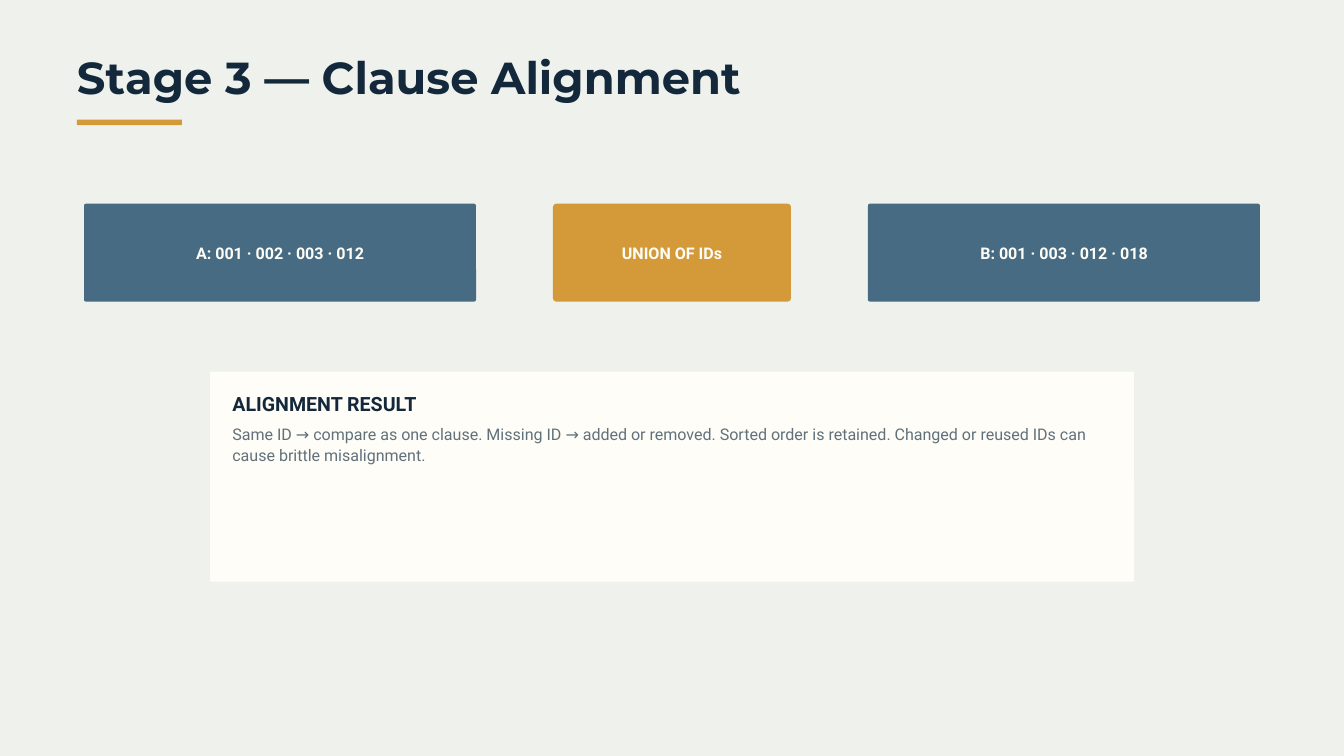
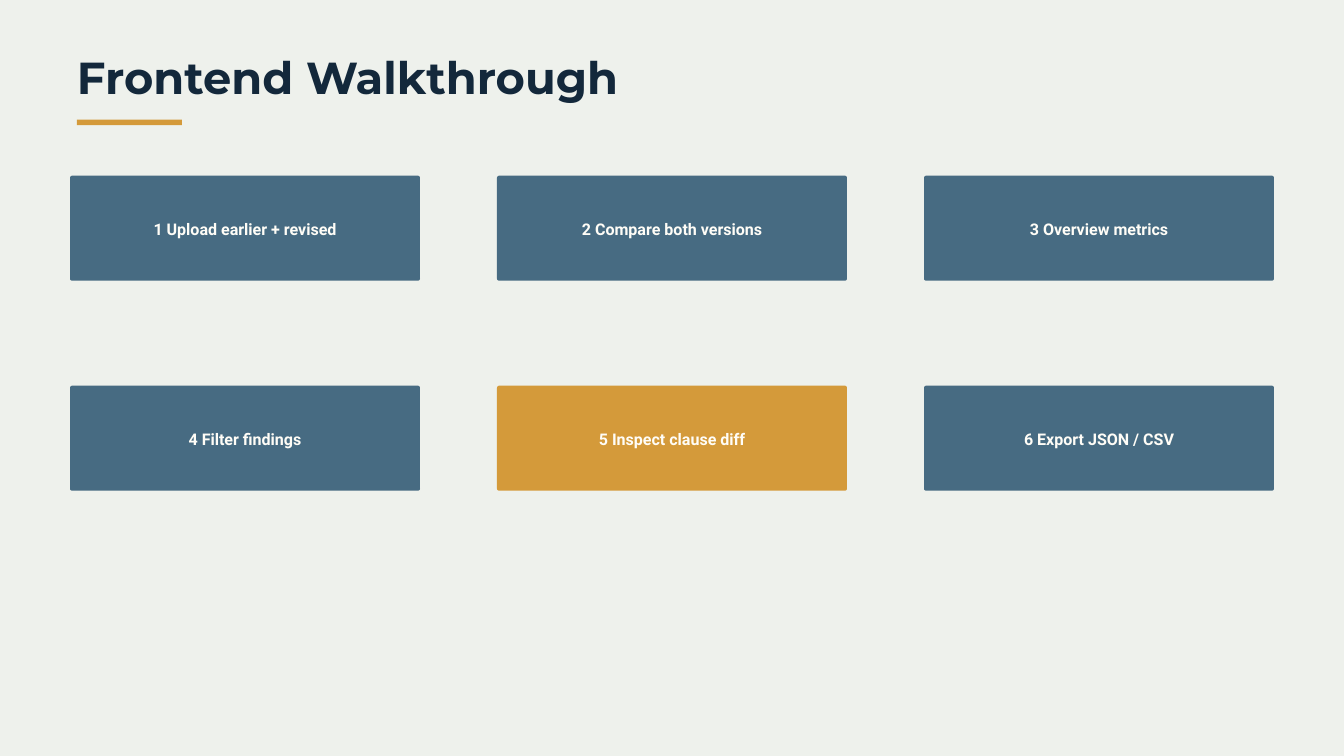
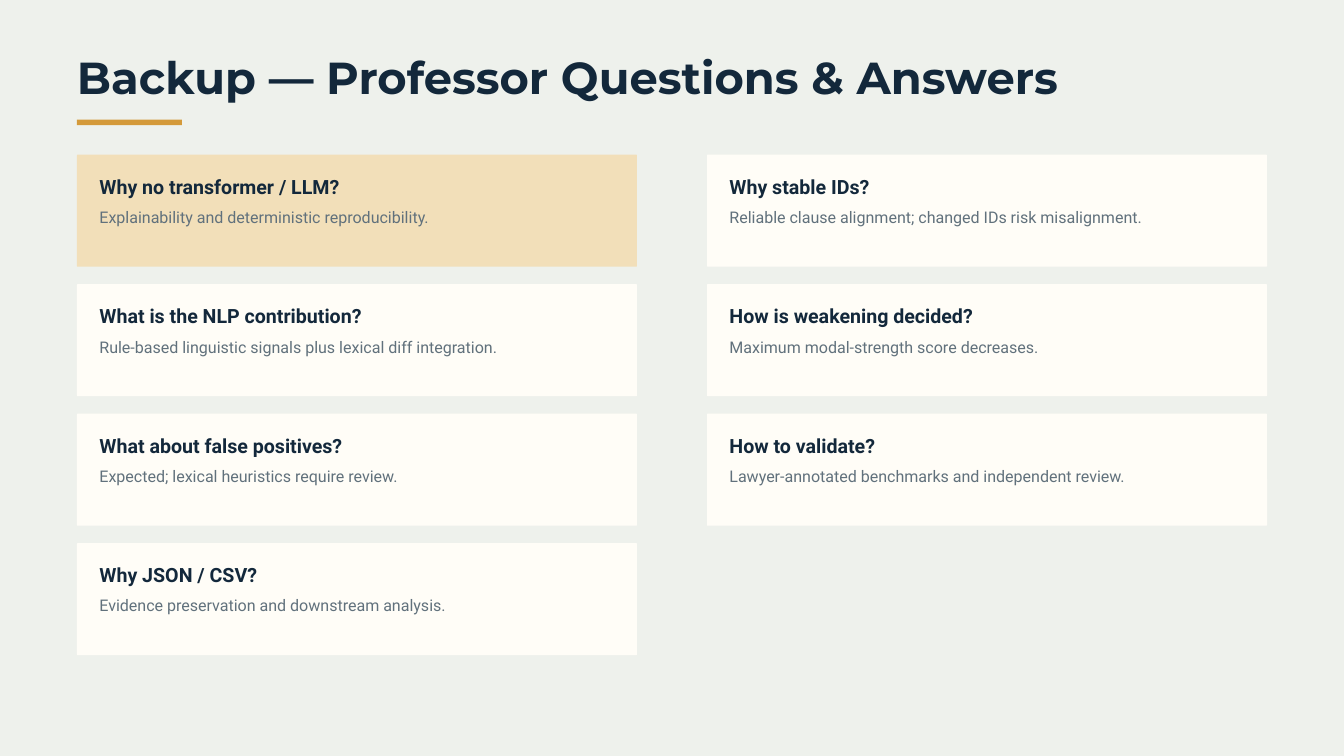
import pptx
import pptx.dml.color
import pptx.enum.shapes
import pptx.enum.text
import pptx.util

RGB = pptx.dml.color.RGBColor
SHAPE = pptx.enum.shapes.MSO_SHAPE
ALIGN = pptx.enum.text.PP_ALIGN
ANCHOR = pptx.enum.text.MSO_ANCHOR

# Shared palette and fonts
PAPER = RGB(0xEE, 0xF1, 0xEC)
NAVY = RGB(0x13, 0x28, 0x3B)
STEEL = RGB(0x47, 0x6B, 0x82)
AMBER = RGB(0xD4, 0x9A, 0x3A)
SAND = RGB(0xF2, 0xDF, 0xB9)
IVORY = RGB(0xFF, 0xFD, 0xF7)
SLATE = RGB(0x61, 0x71, 0x7C)
TITLE_FONT, BODY_FONT = "Montserrat", "Roboto"

CARD_PAD = 32
BODY_LINE = 29


def px(length):
    """Convert px on a 1920 x 1080 slide to EMU."""
    return pptx.util.Emu(round(length * 9525))


def write(frame, text, size, color, leading, font=BODY_FONT, bold=False,
          align=ALIGN.LEFT, anchor=ANCHOR.TOP, top=0, bottom=0, side=0):
    frame.word_wrap = True
    frame.vertical_anchor = anchor
    frame.margin_left = frame.margin_right = px(side)
    frame.margin_top, frame.margin_bottom = px(top), px(bottom)
    paragraph = frame.paragraphs[0]
    paragraph.alignment = align
    paragraph.line_spacing = pptx.util.Pt(leading)
    run = paragraph.add_run()
    run.text = text
    run.font.name = font
    run.font.size = pptx.util.Pt(size)
    run.font.bold = bold
    run.font.color.rgb = color


def add_label(shapes, x, y, width, height, text, **style):
    label = shapes.add_textbox(px(x), px(y), px(width), px(height))
    write(label.text_frame, text, **style)


def add_panel(shapes, x, y, width, height, fill, radius=0):
    preset = SHAPE.ROUNDED_RECTANGLE if radius else SHAPE.RECTANGLE
    panel = shapes.add_shape(preset, px(x), px(y), px(width), px(height))
    if radius:
        panel.adjustments[0] = radius / min(width, height)
    panel.fill.solid()
    panel.fill.fore_color.rgb = fill
    panel.line.fill.background()
    panel.shadow.inherit = False
    return panel


def add_step(slide, x, y, width, height, text, fill=STEEL, radius=3):
    step = add_panel(slide.shapes, x, y, width, height, fill, radius)
    write(step.text_frame, text, size=17.2, color=IVORY, leading=24.1, bold=True,
          align=ALIGN.CENTER, anchor=ANCHOR.MIDDLE, top=3, bottom=6, side=6)


def add_card(slide, x, y, width, height, heading, body, fill=IVORY, body_lines=1):
    card = slide.shapes.add_group_shape().shapes
    add_panel(card, x, y, width, height, fill, radius=1)
    text_x, text_width = x + CARD_PAD, width - 2 * CARD_PAD
    add_label(card, text_x, y + 24, text_width, 36, heading,
              size=21, color=NAVY, leading=28.4, bold=True)
    add_label(card, text_x, y + 73, text_width, BODY_LINE * body_lines, body,
              size=17.2, color=SLATE, leading=22.4)


def add_titled_slide(deck, title):
    slide = deck.slides.add_slide(deck.slide_layouts[6])
    slide.background.fill.solid()
    slide.background.fill.fore_color.rgb = PAPER
    add_label(slide.shapes, 110, 79, 1500, 70, title,
              size=48, color=NAVY, leading=51.8, font=TITLE_FONT, bold=True)
    add_panel(slide.shapes, 110, 171, 150, 8, AMBER)
    return slide


def build_alignment(deck):
    slide = add_titled_slide(deck, "Stage 3 — Clause Alignment")
    add_step(slide, 120, 291, 560, 140, "A: 001 · 002 · 003 · 012")
    add_step(slide, 790, 291, 340, 140, "UNION OF IDs", fill=AMBER, radius=5)
    add_step(slide, 1240, 291, 560, 140, "B: 001 · 003 · 012 · 018")
    add_card(slide, 300, 531, 1320, 300, "ALIGNMENT RESULT",
             "Same ID → compare as one clause. Missing ID → added or removed. "
             "Sorted order is retained. Changed or reused IDs can cause "
             "brittle misalignment.", body_lines=2)


def build_walkthrough(deck):
    slide = add_titled_slide(deck, "Frontend Walkthrough")
    steps = ["Upload earlier + revised", "Compare both versions", "Overview metrics",
             "Filter findings", "Inspect clause diff", "Export JSON / CSV"]
    for index, step in enumerate(steps):
        row, column = divmod(index, 3)
        # An en space sets the number apart from its step
        add_step(slide, 100 + 610 * column, 251 + 300 * row, 500, 150,
                 f"{index + 1} {step}",
                 fill=AMBER if step == "Inspect clause diff" else STEEL)


def build_questions(deck):
    slide = add_titled_slide(deck, "Backup — Professor Questions & Answers")
    answers = [
        ("Why no transformer / LLM?", "Explainability and deterministic reproducibility."),
        ("Why stable IDs?", "Reliable clause alignment; changed IDs risk misalignment."),
        ("What is the NLP contribution?",
         "Rule-based linguistic signals plus lexical diff integration."),
        ("How is weakening decided?", "Maximum modal-strength score decreases."),
        ("What about false positives?", "Expected; lexical heuristics require review."),
        ("How to validate?", "Lawyer-annotated benchmarks and independent review."),
        ("Why JSON / CSV?", "Evidence preservation and downstream analysis."),
    ]
    for index, (question, answer) in enumerate(answers):
        row, column = divmod(index, 2)
        add_card(slide, 110 + 900 * column, 221 + 185 * row, 800, 160,
                 question, answer, fill=IVORY if index else SAND)


def main():
    deck = pptx.Presentation()
    deck.slide_width, deck.slide_height = px(1920), px(1080)
    build_alignment(deck)
    build_walkthrough(deck)
    build_questions(deck)
    deck.save("out.pptx")


if __name__ == "__main__":
    main()
